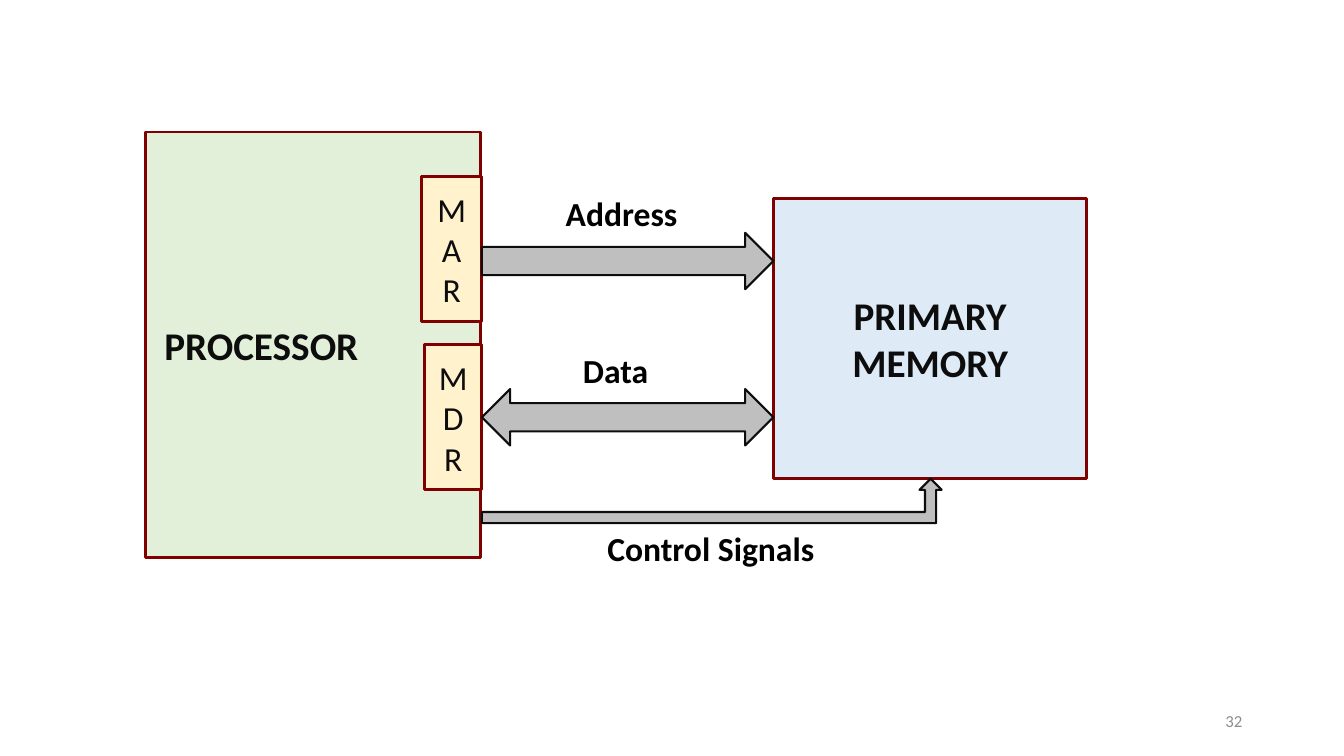
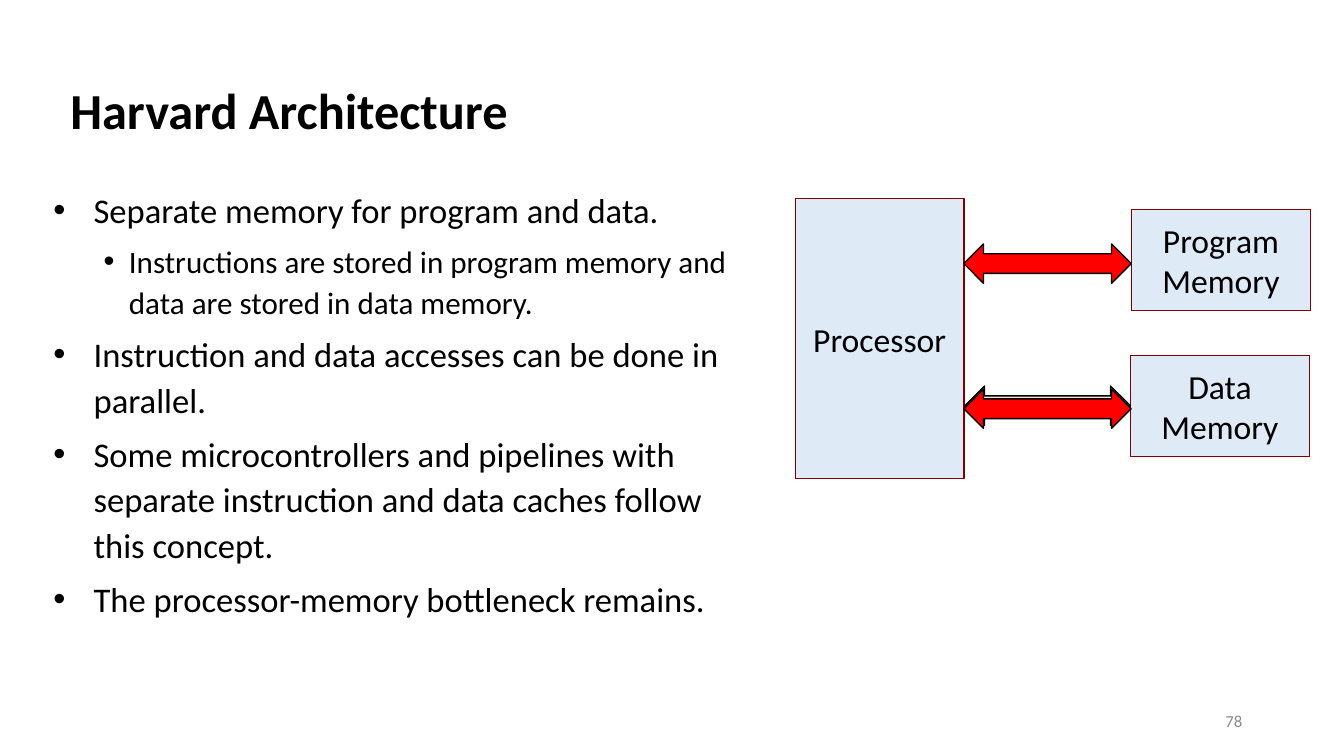
from lxml import etree
from pptx import Presentation
from pptx.dml.color import RGBColor
from pptx.enum.shapes import MSO_SHAPE
from pptx.enum.text import MSO_ANCHOR, PP_ALIGN
from pptx.oxml.ns import qn
from pptx.util import Inches, Pt

LEFT, CENTER, RIGHT = PP_ALIGN.LEFT, PP_ALIGN.CENTER, PP_ALIGN.RIGHT
TOP, MIDDLE = MSO_ANCHOR.TOP, MSO_ANCHOR.MIDDLE
BOX = MSO_SHAPE.RECTANGLE
ARROW = MSO_SHAPE.RIGHT_ARROW
TWO_WAY_ARROW = MSO_SHAPE.LEFT_RIGHT_ARROW
BENT_ARROW = MSO_SHAPE.BENT_UP_ARROW

COLORS = {
    "black": "000000",
    "ink": "0D0D0D",
    "maroon": "800000",
    "blue": "DEEBF7",
    "green": "E2F0D9",
    "cream": "FFF2CC",
    "gray": "BFBFBF",
    "red": "FF0000",
    "number": "8C8C8C",
}
FONT = "Calibri"
BULLET_LEVELS = [
    {"size": 24.7, "left": 0.4, "hanging": 0.4},
    {"size": 22.2, "left": 0.75, "hanging": 0.25},
]


def color(name):
    return RGBColor.from_string(COLORS[name])


def apply(target, values):
    for name, value in values.items():
        setattr(target, name, value)


class Deck:
    def __init__(self):
        self.presentation = Presentation()
        apply(self.presentation, {"slide_width": Inches(13.33), "slide_height": Inches(7.5)})
        self.slide = None

    def new_slide(self, number):
        self.slide = self.presentation.slides.add_slide(self.presentation.slide_layouts[6])
        self.text((9.42, 6.95, 3, 0.4), [str(number)], size=12, ink="number",
                  align=RIGHT, anchor=MIDDLE)

    def fill_text(self, shape, lines, size=24, ink="black", bold=False,
                  align=CENTER, anchor=MIDDLE, spacing=1.0):
        frame = shape.text_frame
        apply(frame, {"word_wrap": True, "vertical_anchor": anchor})
        for index, line in enumerate(lines):
            paragraph = frame.add_paragraph() if index else frame.paragraphs[0]
            apply(paragraph, {"alignment": align, "line_spacing": spacing})
            self.add_run(paragraph, line, size, ink, bold)

    def add_run(self, paragraph, content, size, ink="black", bold=False):
        run = paragraph.add_run()
        run.text = content
        apply(run.font, {"name": FONT, "size": Pt(size), "bold": bold})
        run.font.color.rgb = color(ink)

    def text(self, place, lines, **style):
        shape = self.slide.shapes.add_textbox(*map(Inches, place))
        self.fill_text(shape, lines, **style)

    def label(self, place, content):
        self.text(place, [content], bold=True, anchor=TOP)

    def title(self, content):
        self.text((0.6, 0.4, 11.5, 1.45), [content], size=36, bold=True,
                  align=LEFT, spacing=0.9)

    def shape(self, kind, place, fill, line, width):
        shape = self.slide.shapes.add_shape(kind, *map(Inches, place))
        shape.shadow.inherit = False
        shape.fill.solid()
        shape.fill.fore_color.rgb = color(fill)
        shape.line.color.rgb = color(line)
        shape.line.width = Pt(width)
        return shape

    def box(self, place, lines, fill="blue", width=2, margin=0.1, **style):
        shape = self.shape(BOX, place, fill, "maroon", width)
        shape.text_frame.margin_left = Inches(margin)
        self.fill_text(shape, lines, **style)

    def bullets(self, place, items):
        frame = self.slide.shapes.add_textbox(*map(Inches, place)).text_frame
        frame.word_wrap = True
        for index, (level, content) in enumerate(items):
            style = BULLET_LEVELS[level]
            paragraph = frame.add_paragraph() if index else frame.paragraphs[0]
            properties = paragraph._p.get_or_add_pPr()
            properties.set("marL", str(Inches(style["left"])))
            properties.set("indent", str(-Inches(style["hanging"])))
            etree.SubElement(properties, qn("a:buFont")).set("typeface", "Arial")
            etree.SubElement(properties, qn("a:buChar")).set("char", "•")
            apply(paragraph, {"level": level, "line_spacing": 1.1, "space_after": Pt(6)})
            self.add_run(paragraph, content, style["size"])


def build_bus_slide(deck):
    deck.new_slide(32)
    heading = {"size": 28, "ink": "ink", "bold": True}
    deck.box((7.67, 1.97, 3.11, 2.78), ["PRIMARY", "MEMORY"], **heading)
    deck.box((1.44, 1.31, 3.33, 4.22), ["PROCESSOR"], fill="green", margin=0.19,
             align=LEFT, **heading)
    for register, left, top in (("MAR", 4.18, 1.75), ("MDR", 4.21, 3.42)):
        deck.box((left, top, 4.78 - left, 1.44), register, fill="cream", ink="ink")
    for kind, place in (
        (ARROW, (4.78, 2.31, 2.89, 0.56)),
        (TWO_WAY_ARROW, (4.78, 3.86, 2.89, 0.56)),
        (BENT_ARROW, (4.78, 4.75, 4.56, 0.44)),
    ):
        deck.shape(kind, place, "gray", "ink", 1.5)
    deck.label((5.11, 1.86, 2.11, 0.5), "Address")
    deck.label((5.44, 3.42, 1.33, 0.5), "Data")
    deck.label((5.33, 5.19, 3.44, 0.5), "Control Signals")


def build_harvard_slide(deck):
    deck.new_slide(78)
    deck.title("Harvard Architecture")
    deck.bullets((0.43, 1.78, 7.02, 4.67), [
        (0, "Separate memory for program and data."),
        (1, "Instructions are stored in program memory and data are stored in data memory."),
        (0, "Instruction and data accesses can be done in parallel."),
        (0, "Some microcontrollers and pipelines with separate instruction and data "
            "caches follow this concept."),
        (0, "The processor-memory bottleneck remains."),
    ])
    deck.box((7.89, 1.97, 1.67, 2.78), ["Processor"], width=1)
    deck.box((11.22, 2.08, 1.78, 1), ["Program", "Memory"], width=1)
    deck.box((11.21, 3.53, 1.78, 1), ["Data Memory"], width=1)
    for place, fill in (
        ((9.57, 3.83, 1.64, 0.39), "green"),
        ((9.56, 2.42, 1.66, 0.39), "red"),
        ((9.56, 3.86, 1.66, 0.39), "red"),
    ):
        deck.shape(TWO_WAY_ARROW, place, fill, "black", 1)


def main():
    deck = Deck()
    build_bus_slide(deck)
    build_harvard_slide(deck)
    deck.presentation.save("out.pptx")


if __name__ == "__main__":
    main()
